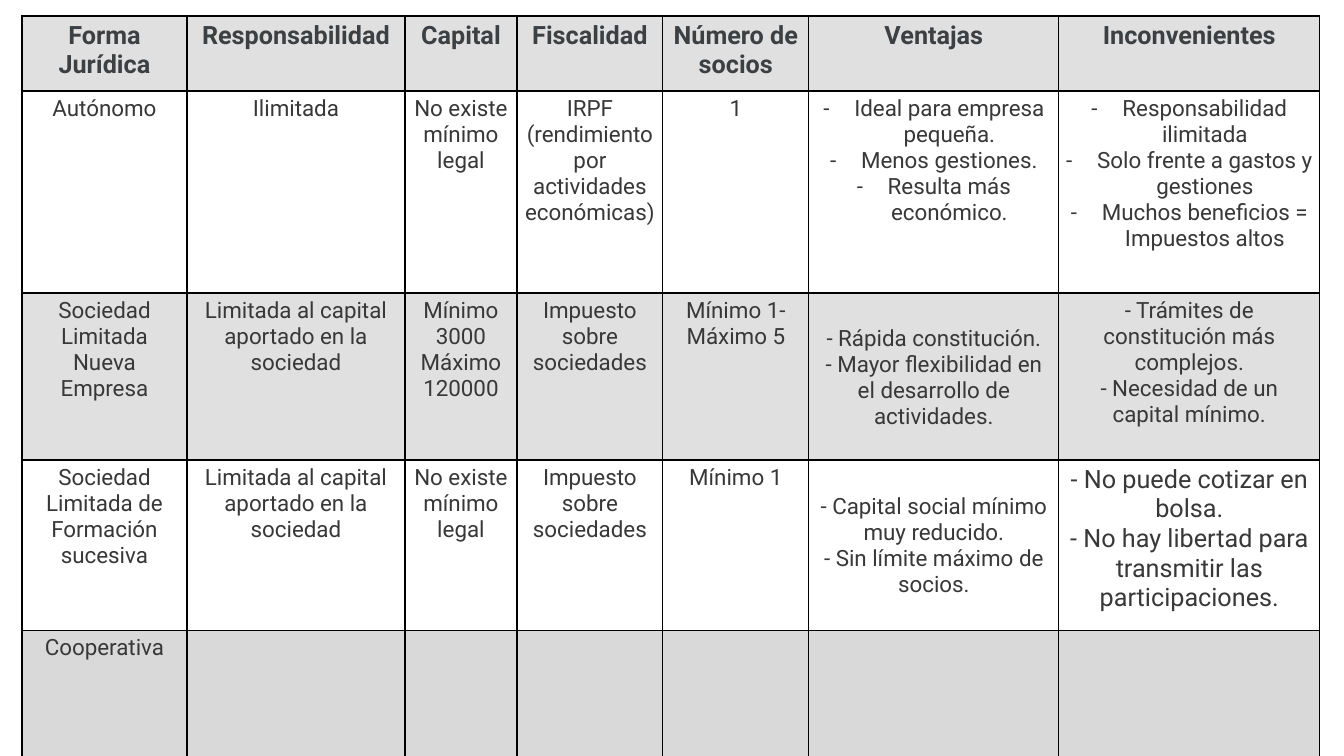
from lxml.etree import SubElement as Sub
from pptx import Presentation
from pptx.dml.color import RGBColor as RGB
from pptx.enum.text import MSO_ANCHOR as Anchor, PP_ALIGN as Align
from pptx.oxml.ns import qn
from pptx.util import Pt

FONT = "Roboto"
HEAD_INK = RGB(0x3C, 0x40, 0x43)
INK = RGB(0x38, 0x38, 0x38)
LINE = RGB(0, 0, 0)
WHITE = RGB(0xFF, 0xFF, 0xFF)
GREY = RGB(0xE0, 0xE0, 0xE0)
DARK = RGB(0xD9, 0xD9, 0xD9)

WIDTHS = [165, 218, 112, 146, 146, 250, 261]
HEIGHTS = [75, 202, 121, 121, 204]
FILLS = [GREY, WHITE, GREY, None, DARK]

# A list in a cell is a bulleted list; a string has one paragraph per line.
ROWS = [
    ["Forma Jurídica", "Responsabilidad", "Capital", "Fiscalidad",
     "Número de socios", "Ventajas", "Inconvenientes"],
    ["Autónomo", "Ilimitada", "No existe mínimo legal",
     "IRPF (rendimiento por actividades económicas)", "1",
     ["Ideal para empresa pequeña.", "Menos gestiones.",
      "Resulta más económico."],
     ["Responsabilidad ilimitada", "Solo frente a gastos y gestiones",
      "Muchos beneficios = Impuestos altos"]],
    ["Sociedad Limitada Nueva Empresa",
     "Limitada al capital aportado en la sociedad",
     "Mínimo 3000\nMáximo 120000", "Impuesto sobre sociedades",
     "Mínimo 1-\nMáximo 5",
     "- Rápida constitución.\n"
     "- Mayor flexibilidad en el desarrollo de actividades.",
     "- Trámites de constitución más complejos.\n"
     "- Necesidad de un capital mínimo."],
    ["Sociedad Limitada de Formación sucesiva",
     "Limitada al capital aportado en la sociedad",
     "No existe mínimo legal", "Impuesto sobre sociedades", "Mínimo 1",
     "- Capital social mínimo muy reducido.\n"
     "- Sin límite máximo de socios.",
     "- No puede cotizar en bolsa.\n"
     "- No hay libertad para transmitir las participaciones."],
    ["Cooperativa", "", "", "", "", "", ""],
]
# Extra room above and below the text of a cell, in px
PADS = {(2, 5): (33, 30), (3, 5): (34, 32)}
SIZES = {(3, 6): 18}


def px(n):
    return round(n * 914400 / 100.8)


def bullet(par):
    props = par._p.get_or_add_pPr()
    props.set("marL", str(px(31)))
    props.set("indent", str(-px(31)))
    Sub(Sub(props, qn("a:buClr")), qn("a:srgbClr")).set("val", str(INK))
    Sub(props, qn("a:buFont")).set("typeface", FONT)
    Sub(props, qn("a:buChar")).set("char", "-")


def write(frame, text, size=16, color=INK, bold=False):
    listed = isinstance(text, list)
    for i, line in enumerate(text if listed else text.split("\n")):
        par = frame.add_paragraph() if i else frame.paragraphs[0]
        par.alignment = Align.CENTER
        font = par.font
        if line:
            run = par.add_run()
            run.text = line
            font = run.font
        font.name, font.size, font.bold = FONT, Pt(size), bold
        font.color.rgb = color
        if listed:
            bullet(par)


def border(cell):
    props = cell._tc.get_or_add_tcPr()
    for side in ("lnL", "lnR", "lnT", "lnB"):
        line = Sub(props, qn("a:" + side), w=str(Pt(0.96)))
        fill = Sub(line, qn("a:solidFill"))
        Sub(fill, qn("a:srgbClr")).set("val", str(LINE))


def style(cell, fill, pads):
    border(cell)
    if fill is None:
        cell.fill.background()
    else:
        cell.fill.solid()
        cell.fill.fore_color.rgb = fill
    cell.vertical_anchor = Anchor.TOP
    cell.margin_left = cell.margin_right = px(7)
    cell.margin_top, cell.margin_bottom = map(px, pads)


def forms_table(slide, x, y):
    """Compare the legal forms of a company, one per row."""
    table = slide.shapes.add_table(
        len(ROWS), len(WIDTHS), px(x), px(y),
        px(sum(WIDTHS)), px(sum(HEIGHTS))).table
    table.first_row = table.horz_banding = False
    for col, width in zip(table.columns, WIDTHS):
        col.width = px(width)
    for r, texts in enumerate(ROWS):
        table.rows[r].height = px(HEIGHTS[r])
        for c, text in enumerate(texts):
            cell = table.cell(r, c)
            style(cell, FILLS[r], PADS.get((r, c), (5, 5)))
            if r == 0:
                write(cell.text_frame, text, size=18, color=HEAD_INK,
                      bold=True)
            else:
                write(cell.text_frame, text, size=SIZES.get((r, c), 16))


def main():
    deck = Presentation()
    deck.slide_width, deck.slide_height = px(1344), px(756)
    slide = deck.slides.add_slide(deck.slide_layouts[6])
    forms_table(slide, 22, 16)
    deck.save("out.pptx")


if __name__ == "__main__":
    main()
